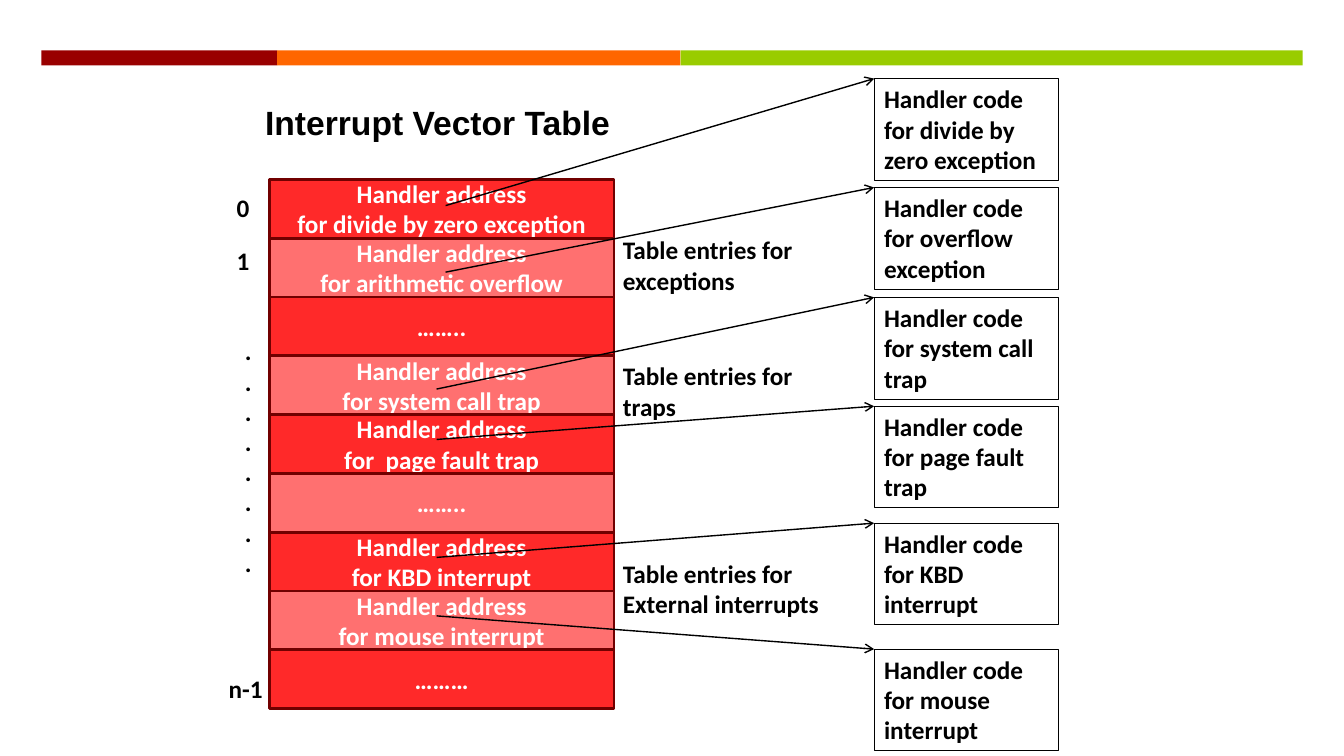
import pptx
import pptx.util
import pptx.dml.color
import pptx.enum.shapes
import pptx.enum.text
import pptx.oxml.ns
import lxml.etree

Inches = pptx.util.Inches
Align = pptx.enum.text.PP_ALIGN
Anchor = pptx.enum.text.MSO_ANCHOR

BANDS = [(0.41, 2.34, "990000"), (2.75, 4, "FF6600"), (6.75, 6.17, "99CC00")]
ENTRIES = [
    ["Handler address", "for divide by zero exception"],
    ["Handler address", "for arithmetic overflow"],
    ["…….."],
    ["Handler address", "for system call trap"],
    ["Handler address", "for  page fault trap"],
    ["…….."],
    ["Handler address", "for KBD interrupt"],
    ["Handler address", "for mouse interrupt"],
    ["………"],
]
LABELS = [
    (6.08, 2.28, 1.89, 0.71, ["Table entries for", "exceptions"]),
    (6.08, 3.53, 1.89, 0.71, ["Table entries for", "traps"]),
    (6.08, 5.49, 2.16, 0.71, ["Table entries for", "External interrupts"]),
    (2.25, 1.86, 0.33, 0.4, ["0"]),
    (2.25, 2.38, 0.33, 0.4, ["1"]),
    (2.17, 6.63, 0.54, 0.4, ["n-1"]),
    (2.33, 3.28, 0.27, 2.52, ["."] * 8),
]
HANDLERS = [
    ("divide by zero exception", 0.78, 4.42, 2.04),
    ("overflow exception", 1.86, 4.42, 2.7),
    ("system call trap", 2.95, 4.33, 3.86),
    ("page fault trap", 4.03, 4.33, 4.36),
    ("KBD interrupt", 5.19, 4.33, 5.53),
    ("mouse interrupt", 6.44, 4.33, 6.11),
]
TABLE_LEFT, TABLE_TOP, TABLE_WIDTH = 2.67, 1.78, 3.42
ROW_HEIGHT = 5.25 / len(ENTRIES)
HANDLER_LEFT = 8.67


def color(value):
    """Turn a hex string into a colour."""
    return pptx.dml.color.RGBColor.from_string(value)


def write_lines(shape, lines, ink="000000", size=18, font="Calibri",
                align=Align.LEFT, anchor=Anchor.TOP, wrap=True):
    """Fill a shape with bold paragraphs, one for each line."""
    frame = shape.text_frame
    frame.word_wrap = wrap
    frame.vertical_anchor = anchor
    for index, line in enumerate(lines):
        para = frame.add_paragraph() if index else frame.paragraphs[0]
        para.alignment = align
        span = para.add_run()
        span.text = line
        span.font.size = pptx.util.Pt(size)
        span.font.name = font
        span.font.bold = True
        span.font.color.rgb = color(ink)


def add_box(page, left, top, width, height, fill=None, line=None, weight=1):
    """Add a rectangle with an optional fill and outline."""
    box = page.shapes.add_shape(pptx.enum.shapes.MSO_SHAPE.RECTANGLE, Inches(left),
                                Inches(top), Inches(width), Inches(height))
    box.shadow.inherit = False
    if fill:
        box.fill.solid()
        box.fill.fore_color.rgb = color(fill)
    else:
        box.fill.background()
    if line:
        box.line.color.rgb = color(line)
        box.line.width = pptx.util.Pt(weight)
    else:
        box.line.fill.background()
    return box


def add_label(page, left, top, width, height, lines):
    """Add an unwrapped text label."""
    label = page.shapes.add_textbox(Inches(left), Inches(top), Inches(width), Inches(height))
    write_lines(label, lines, wrap=False)


def add_arrow(page, start_x, start_y, end_x, end_y):
    """Add a thin black line with an open arrowhead at its end."""
    arrow = page.shapes.add_connector(
        pptx.enum.shapes.MSO_CONNECTOR.STRAIGHT,
        Inches(start_x), Inches(start_y), Inches(end_x), Inches(end_y))
    arrow.line.color.rgb = color("000000")
    arrow.line.width = pptx.util.Pt(1)
    qn = pptx.oxml.ns.qn
    lxml.etree.SubElement(arrow.line._get_or_add_ln(), qn("a:tailEnd"), type="arrow")
    lxml.etree.SubElement(arrow._element.spPr, qn("a:effectLst"))


def add_title(page, text):
    """Place and format the slide title."""
    title = page.shapes.title
    title.left, title.top = Inches(2.38), Inches(0.96)
    title.width, title.height = Inches(3.92), Inches(0.5)
    write_lines(title, [text], size=24, font="Arial", align=Align.CENTER)


def add_vector_table(page):
    """Stack the table entries in alternating reds."""
    for row, lines in enumerate(ENTRIES):
        box = add_box(page, TABLE_LEFT, TABLE_TOP + row * ROW_HEIGHT, TABLE_WIDTH,
                      ROW_HEIGHT, ("FF2929", "FF7070")[row % 2], "710000", 2)
        write_lines(box, lines, "FFFFFF", align=Align.CENTER, anchor=Anchor.MIDDLE)


def add_handler(page, name, top, start_x, start_y):
    """Add a handler box and the arrow that leads to it."""
    box = add_box(page, HANDLER_LEFT, top, 1.83, 1.01, line="000000", weight=0.75)
    write_lines(box, [f"Handler code for {name}"])
    add_arrow(page, start_x, start_y, HANDLER_LEFT, top)


def main():
    """Build the slide and save it."""
    deck = pptx.Presentation()
    deck.slide_width, deck.slide_height = Inches(13.33), Inches(7.5)
    page = deck.slides.add_slide(deck.slide_layouts[5])
    for left, width, fill in BANDS:
        add_box(page, left, 0.5, width, 0.15, fill)
    add_title(page, "Interrupt Vector Table")
    add_vector_table(page)
    for label in LABELS:
        add_label(page, *label)
    for handler in HANDLERS:
        add_handler(page, *handler)
    deck.save("out.pptx")


if __name__ == "__main__":
    main()
